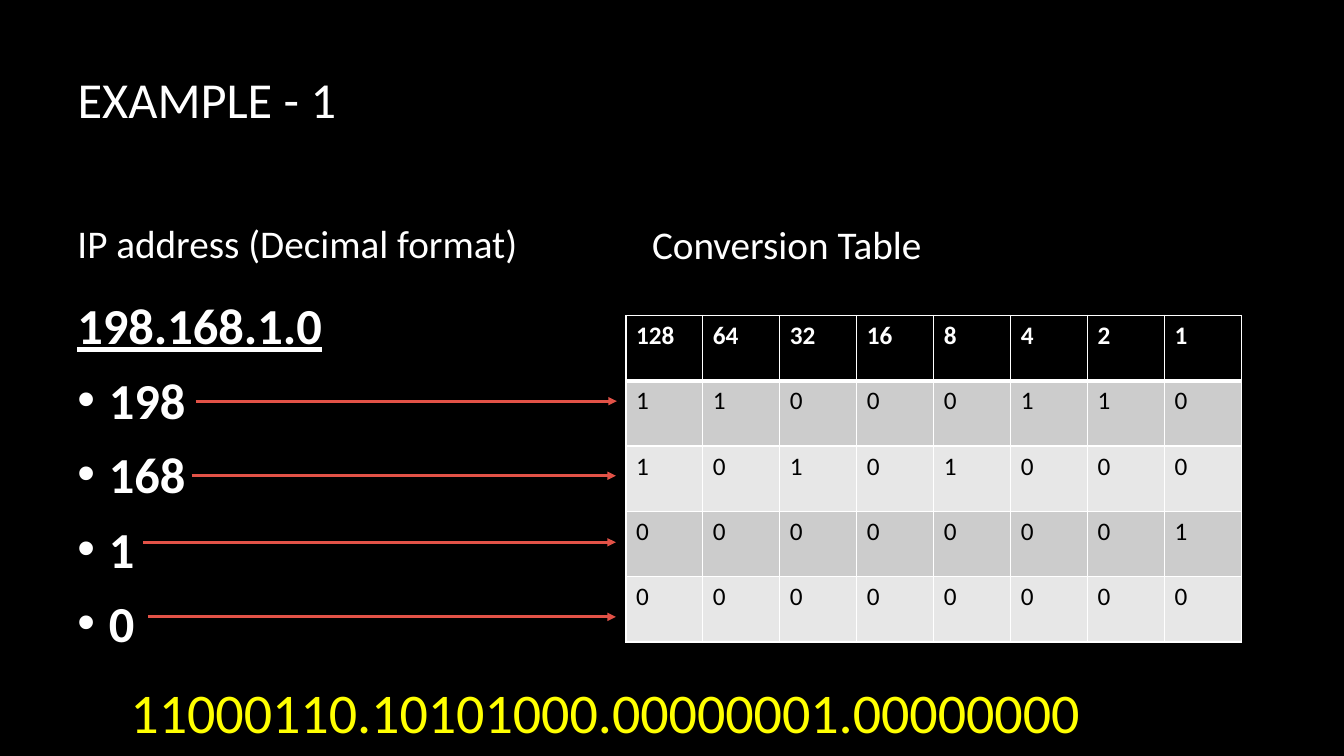
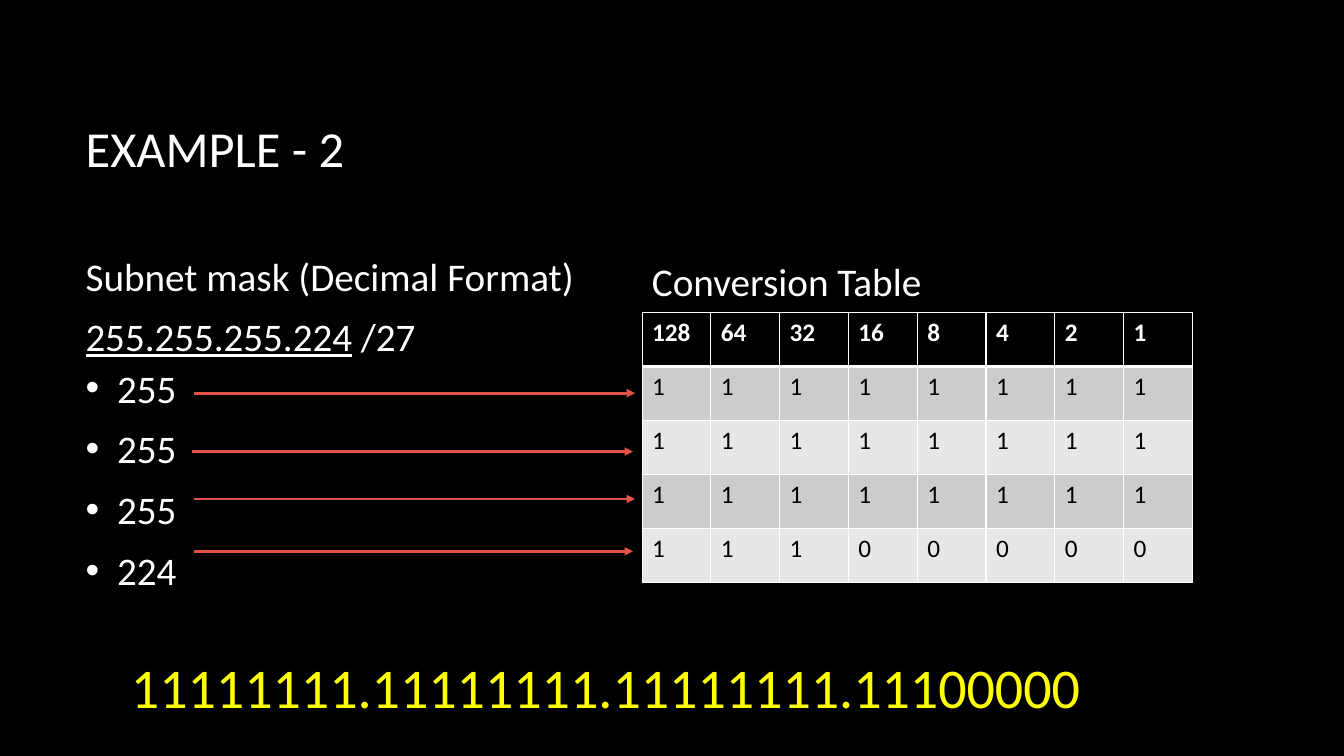
from lxml import etree
from pptx import Presentation
from pptx.dml.color import RGBColor
from pptx.enum.shapes import MSO_CONNECTOR
from pptx.enum.text import MSO_ANCHOR, MSO_AUTO_SIZE, PP_ALIGN
from pptx.oxml import parse_xml
from pptx.oxml.ns import nsdecls, qn
from pptx.util import Pt

STRAIGHT = MSO_CONNECTOR.STRAIGHT
TOP, MIDDLE, BOTTOM = MSO_ANCHOR.TOP, MSO_ANCHOR.MIDDLE, MSO_ANCHOR.BOTTOM
LEFT, CENTER = PP_ALIGN.LEFT, PP_ALIGN.CENTER

# Content: boxes are (left, top, width, height), arrows (from x, to x, y), in points
EXAMPLES = [
    dict(title="EXAMPLE - 1", title_box=(48.24, 12.96, 797.76, 114.48),
         heading="IP address (Decimal format)", heading_box=(48.24, 148.32, 398.88, 45.36),
         octets=[198, 168, 1, 0], suffix="", size=36, bold=True, tight_lines=0,
         octets_box=(48.24, 206.64, 398.88, 252),
         table_heading_box=(458.64, 149.04, 392.4, 45.36),
         table_box=(447.12, 225.36, 439.92, 233.28),
         arrows=[(139.68, 440.64, 286.56), (136.8, 439.92, 339.84),
                 (102.24, 439.92, 387.36), (105.84, 439.92, 440.64)],
         binary_box=(43.92, 480.24, 776.88, 55.44)),
    dict(title="EXAMPLE - 2", title_box=(54, 48.24, 797.76, 114.48),
         heading="Subnet mask (Decimal Format)", heading_box=(54, 172.08, 370.8, 45.36),
         octets=[255, 255, 255, 224], suffix=" /27", size=27.9, bold=False, tight_lines=2,
         octets_box=(54, 226.08, 399.6, 200.88),
         table_heading_box=(458.64, 175.68, 393.12, 45.36),
         table_box=(458.64, 223.2, 393.12, 192.96),
         arrows=[(138.24, 453.6, 280.8), (136.8, 452.16, 322.56),
                 (138.24, 453.6, 356.4), (138.24, 452.16, 393.84)],
         binary_box=(77.04, 462.24, 711.36, 55.44)),
]
BITS = 8
PLACE_VALUES = [str(2 ** bit) for bit in reversed(range(BITS))]

# Shared style
FONT = "Calibri"
BLACK, WHITE, YELLOW, RED = "000000", "FFFFFF", "FFFF00", "E25247"
BANDS = ["CCCCCC", "E7E7E7"]
HEADING_SIZE, SPACE_AFTER, INDENT = 28, 10, 22.5


def color(value):
    return RGBColor.from_string(value)


def add_run(p, text, size, rgb=WHITE, bold=False, underline=False):
    r = p.add_run()
    r.text = text
    r.font.name, r.font.size = FONT, Pt(size)
    r.font.bold, r.font.underline = bold, underline
    r.font.color.rgb = color(rgb)


def setup_frame(tf, anchor):
    tf.word_wrap = True
    tf.auto_size = MSO_AUTO_SIZE.NONE
    tf.vertical_anchor = anchor
    return tf


def add_text(s, box, anchor=TOP):
    sp = s.shapes.add_textbox(*map(Pt, box))
    return setup_frame(sp.text_frame, anchor)


def add_title(s, text, box):
    sp = s.shapes.title
    sp.left, sp.top, sp.width, sp.height = map(Pt, box)
    p = setup_frame(sp.text_frame, MIDDLE).paragraphs[0]
    p.alignment = LEFT
    add_run(p, text, 36)


def add_heading(s, text, box):
    p = add_text(s, box, BOTTOM).paragraphs[0]
    p.space_after = Pt(SPACE_AFTER)
    add_run(p, text, HEADING_SIZE)


def add_bullet(p):
    pPr = p._p.get_or_add_pPr()
    pPr.set("marL", str(Pt(INDENT)))
    pPr.set("indent", str(-Pt(INDENT)))
    bu_color = etree.SubElement(pPr, qn("a:buClr"))
    etree.SubElement(bu_color, qn("a:srgbClr"), val=WHITE)
    etree.SubElement(pPr, qn("a:buFont"), typeface="Arial")
    etree.SubElement(pPr, qn("a:buChar"), char="•")


def add_octets(s, ex):
    """The dotted address, then one bullet for each octet."""
    tf = add_text(s, ex["octets_box"])
    size, bold = ex["size"], ex["bold"]
    address = ".".join(map(str, ex["octets"]))
    for i, text in enumerate([address, *map(str, ex["octets"])]):
        p = tf.paragraphs[0] if i == 0 else tf.add_paragraph()
        p.space_after = Pt(SPACE_AFTER)
        if i < ex["tight_lines"]:
            p.line_spacing = 0.8
        add_run(p, text, size, bold=bold, underline=i == 0)
        if i > 0:
            add_bullet(p)
        elif ex["suffix"]:
            add_run(p, ex["suffix"], size, bold=bold)


def set_borders(cell, top, bottom):
    tcPr = cell._tc.get_or_add_tcPr()
    for i, (side, width) in enumerate([("L", 1), ("R", 1), ("T", top), ("B", bottom)]):
        tcPr.insert(i, parse_xml(
            f'<a:ln{side} {nsdecls("a")} w="{Pt(width)}"><a:solidFill>'
            f'<a:srgbClr val="{WHITE}"/></a:solidFill></a:ln{side}>'))


def add_bit_table(s, box, octet_bits):
    rows = [PLACE_VALUES, *octet_bits]
    table = s.shapes.add_table(len(rows), BITS, *map(Pt, box)).table
    for col in table.columns:
        col.width = Pt(box[2] / BITS)
    for i, values in enumerate(rows):
        header = i == 0
        table.rows[i].height = Pt(box[3] / len(rows))
        for j, value in enumerate(values):
            cell = table.cell(i, j)
            cell.fill.solid()
            cell.fill.fore_color.rgb = color(BLACK if header else BANDS[(i - 1) % 2])
            set_borders(cell, top=3 if i == 1 else 1, bottom=3 if header else 1)
            add_run(cell.text_frame.paragraphs[0], value, 18,
                    WHITE if header else BLACK, bold=header)


def add_arrow(s, x1, x2, y):
    arrow = s.shapes.add_connector(STRAIGHT, Pt(x1), Pt(y), Pt(x2), Pt(y))
    arrow.line.width = Pt(2)
    arrow.line.color.rgb = color(RED)
    etree.SubElement(arrow.line._get_or_add_ln(), qn("a:tailEnd"), type="triangle")
    etree.SubElement(arrow._element.spPr, qn("a:effectLst"))


def add_binary(s, octet_bits, box):
    p = add_text(s, box).paragraphs[0]
    p.alignment = CENTER
    add_run(p, ".".join(octet_bits), 40, YELLOW)


prs = Presentation()
prs.slide_width, prs.slide_height = Pt(960), Pt(540)
background = prs.slide_master.background.fill
background.solid()
background.fore_color.rgb = color(BLACK)
title_only = prs.slide_layouts[5]

for ex in EXAMPLES:
    s = prs.slides.add_slide(title_only)
    octet_bits = [format(octet, f"0{BITS}b") for octet in ex["octets"]]
    add_title(s, ex["title"], ex["title_box"])
    add_heading(s, ex["heading"], ex["heading_box"])
    add_octets(s, ex)
    add_heading(s, "Conversion Table", ex["table_heading_box"])
    add_bit_table(s, ex["table_box"], octet_bits)
    for arrow in ex["arrows"]:
        add_arrow(s, *arrow)
    add_binary(s, octet_bits, ex["binary_box"])

prs.save("out.pptx")
